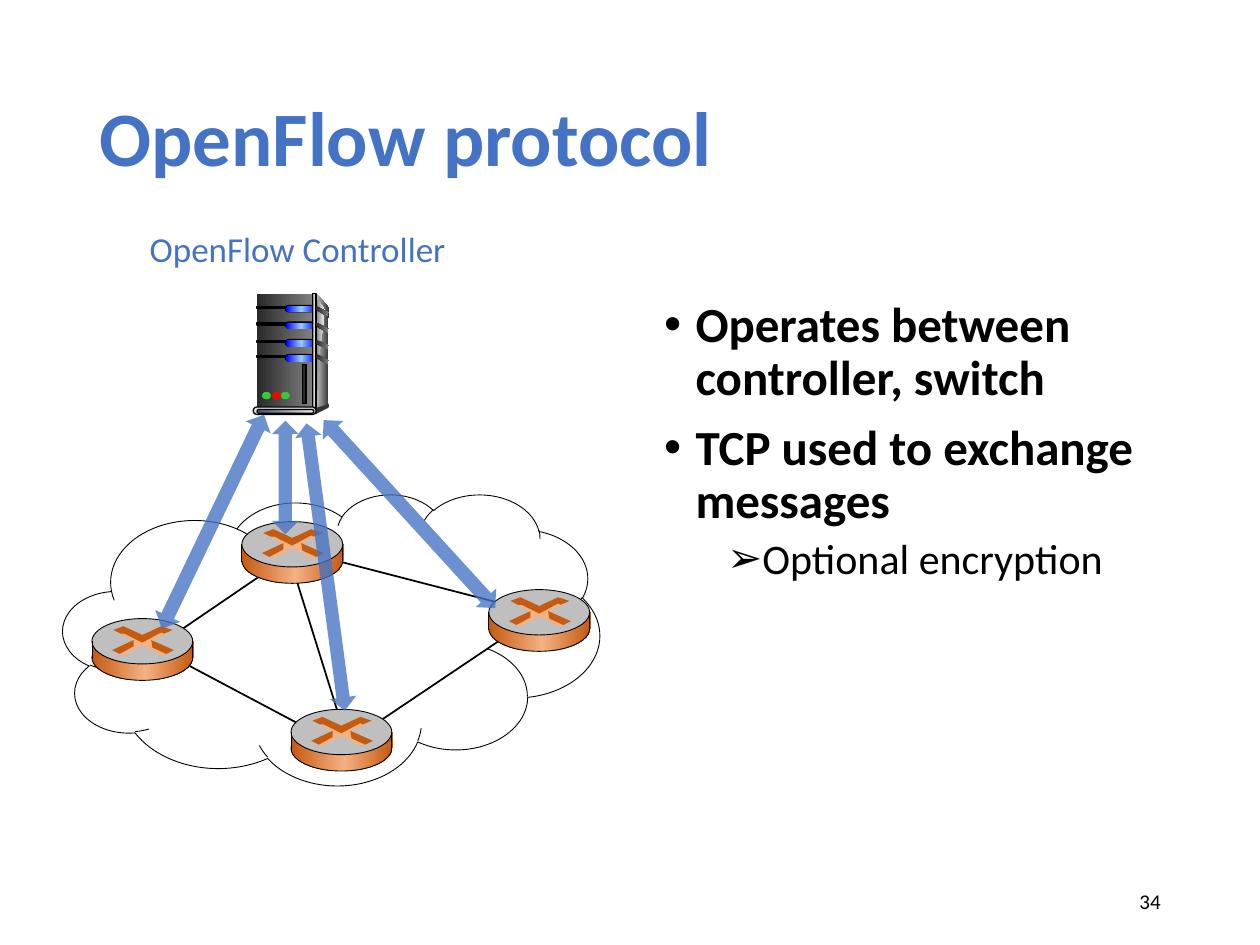
from lxml.etree import SubElement
from pptx import Presentation
from pptx.dml.color import RGBColor
from pptx.enum.shapes import MSO_CONNECTOR as CONNECTOR, MSO_SHAPE as SHAPE
from pptx.enum.text import MSO_ANCHOR as ANCHOR, MSO_AUTO_SIZE as AUTO_SIZE, PP_ALIGN as ALIGN
from pptx.oxml.ns import qn
from pptx.util import Inches, Pt

FONT = "Calibri"
BLACK = RGBColor(0, 0, 0)
BLUE = RGBColor(0x44, 0x72, 0xC4)
RUST = RGBColor(0xC5, 0x5A, 0x11)
PEACH = RGBColor(0xF4, 0xB1, 0x83)
SILVER = RGBColor(0xBF, 0xBF, 0xBF)
CHARCOAL = RGBColor(0x29, 0x29, 0x29)
DARK = RGBColor(0x33, 0x33, 0x33)
GREY = RGBColor(0x80, 0x80, 0x80)
LIGHT = RGBColor(0xDD, 0xDD, 0xDD)
PALE = RGBColor(0xF8, 0xF8, 0xF8)
SLATE = RGBColor(0x44, 0x54, 0x6A)
MIST = RGBColor(0xE7, 0xE6, 0xE6)
LED_BLUE = RGBColor(0, 0, 0xFF)
LED_GLOW = RGBColor(0x99, 0xCC, 0xFF)
LAMP_GREEN = RGBColor(0x33, 0xCC, 0x33)
LAMP_RED = RGBColor(0xFF, 0, 0)

RUST_SHEEN = ((0, RUST), (53, PEACH), (100, RUST))
LED_SHEEN = ((0, LED_BLUE), (50, LED_GLOW), (100, LED_BLUE))
PANEL_SHEEN = ((0, CHARCOAL), (100, GREY))

ROUTERS = ((2.31, 5.63), (3.88, 4.68), (0.73, 4.91), (1.92, 4.14))
ROUTER_MARKS = (
    (PEACH, ((.4, .21), (.25, .29), (.21, .27), (.33, .22), (.32, .17), (.23, .12), (.26, .11),
             (.4, .18), (.54, .11), (.58, .12), (.48, .17), (.5, .23), (.6, .27), (.56, .29))),
    (RUST, ((.17, .09), (.25, .06), (.4, .13), (.55, .06), (.64, .09), (.57, .12), (.55, .11),
            (.4, .19), (.26, .12), (.23, .12))),
    (RUST, ((.47, .17), (.65, .25), (.59, .28), (.48, .23))),
    (RUST, ((.33, .17), (.33, .22), (.22, .28), (.16, .25))),
)
LINKS = ((1.23, 5.14, 2.55, 4.24), (1.23, 5.14, 2.55, 5.84), (2.33, 4.53, 2.68, 5.65),
         (2.63, 4.44, 4.06, 4.81), (2.84, 5.84, 4.06, 5.02))
CONTROL_ARROWS = ((2.48, 3.35, .21, 2.3, 352.4), (2.16, 3.34, .21, .9, 0),
                  (3.14, 3.07, .22, 2.02, 317.6), (1.58, 3.2, .22, 1.88, 25.6))
BULLETS = (("Operates between controller, switch", 0),
           ("TCP used to exchange messages", 0),
           ("Optional encryption", 1))


def paint(shape, fill=None, line=None):
    """Apply a colour or gradient stops, an optional black line, and no shadow."""
    shape.shadow.inherit = False
    if fill is None:
        shape.fill.background()
    elif isinstance(fill, RGBColor):
        shape.fill.solid()
        shape.fill.fore_color.rgb = fill
    else:
        shape.fill.gradient()
        shape.fill.gradient_angle = 0
        stops = shape._element.spPr.find(qn("a:gradFill")).find(qn("a:gsLst"))
        stops.clear()
        for position, color in fill:
            stop = SubElement(stops, qn("a:gs"), pos=str(position * 1000))
            SubElement(stop, qn("a:srgbClr"), val=str(color))
    if line:
        shape.line.color.rgb = BLACK
        shape.line.width = Pt(line)
    else:
        shape.line.fill.background()


def add_part(shapes, kind, box, fill=None, line=None):
    """Add a painted preset shape; rounded bars get fully round ends."""
    part = shapes.add_shape(kind, *map(Inches, box))
    if kind == SHAPE.ROUNDED_RECTANGLE:
        part.adjustments[0] = 0.5
    paint(part, fill, line)
    return part


def add_outline(shapes, points, fill, left=0, top=0):
    """Add a filled polygon, with its points moved by left and top."""
    corners = [(Inches(left + x), Inches(top + y)) for x, y in points]
    builder = shapes.build_freeform(*corners[0])
    builder.add_line_segments(corners[1:], close=True)
    paint(builder.convert_to_shape(), fill)


def add_line(shapes, ends, width):
    """Add a straight black line."""
    line = shapes.add_connector(CONNECTOR.STRAIGHT, *map(Inches, ends))
    line.line.color.rgb = BLACK
    line.line.width = Pt(width)
    SubElement(line._element.spPr, qn("a:effectLst"))


def style(paragraph, size, color, bold=False):
    """Set the font of a whole paragraph."""
    font = paragraph.font
    font.name, font.size, font.bold = FONT, Pt(size), bold
    font.color.rgb = color


def place(shape, left, top, width, height):
    """Move and size a shape, in inches."""
    shape.left, shape.top = Inches(left), Inches(top)
    shape.width, shape.height = Inches(width), Inches(height)


def add_label(shapes, box, text, size, color, align=ALIGN.LEFT, anchor=ANCHOR.TOP, wrap=True):
    """Add a one-line text box."""
    frame = shapes.add_textbox(*map(Inches, box)).text_frame
    frame.word_wrap = wrap
    frame.vertical_anchor = anchor
    frame.text = text
    frame.paragraphs[0].alignment = align
    style(frame.paragraphs[0], size, color)


def fill_title(title):
    """Write the slide title."""
    place(title, 0.69, 0.4, 8.62, 1.45)
    frame = title.text_frame
    frame.text = "OpenFlow protocol"
    frame.auto_size = AUTO_SIZE.NONE
    frame.vertical_anchor = ANCHOR.MIDDLE
    heading = frame.paragraphs[0]
    heading.alignment = ALIGN.LEFT
    heading.line_spacing = 0.9
    style(heading, 44, BLUE, bold=True)


def fill_bullets(body):
    """Write the bulleted list."""
    place(body, 5.17, 2.33, 4.25, 4.09)
    frame = body.text_frame
    frame.text = "\n".join(text for text, _ in BULLETS)
    frame.auto_size = AUTO_SIZE.NONE
    for point, (_, level) in zip(frame.paragraphs, BULLETS):
        point.level = level
        point.line_spacing = 0.9
        point.space_before = Pt(5 if level else 10)
        props = point._p.get_or_add_pPr()
        props.set("marL", str(Inches(0.75 if level else 0.25)))
        props.set("indent", str(Inches(-0.25)))
        SubElement(props, qn("a:buFont"), typeface="Arial")
        SubElement(props, qn("a:buChar"), char="\u27a2" if level else "\u2022")
        style(point, 24 if level else 28, BLACK, bold=not level)


def add_server(slide):
    """Draw the controller as a tower server."""
    parts = slide.shapes.add_group_shape().shapes
    bar = SHAPE.ROUNDED_RECTANGLE
    add_outline(parts, ((2.51, 2.33), (2.61, 2.44), (2.6, 3.21), (2.49, 3.25)),
                ((0, LIGHT), (100, DARK)))
    add_part(parts, SHAPE.RECTANGLE, (2.04, 2.33, .44, .92), PANEL_SHEEN)
    add_outline(parts, ((2.51, 2.38), (2.54, 2.4), (2.58, 2.46), (2.53, 2.85), (2.51, 3.22)),
                ((0, GREY), (100, PALE)))
    for top in (2.43, 2.56, 2.7, 2.82):
        add_part(parts, SHAPE.RECTANGLE, (2.04, top, .25, .02), BLACK, 0.75)
        add_part(parts, bar, (2.26, top - .01, .25, .06), BLACK)
        add_part(parts, bar, (2.27, top, .24, .05), LED_SHEEN)
    add_part(parts, SHAPE.RECTANGLE, (2.48, 2.33, .03, .92),
             ((0, DARK), (50, LIGHT), (100, DARK)), 0.75)
    for top, drop in ((2.43, .05), (2.56, .05), (2.7, .04), (2.81, .05)):
        add_outline(parts, ((2.51, top), (2.61, top + drop), (2.6, top + drop + .03),
                            (2.51, top + .03)), PANEL_SHEEN)
    add_part(parts, SHAPE.OVAL, (2.59, 3.2, .02, .04), DARK)
    add_outline(parts, ((2.5, 3.24), (2.5, 3.29), (2.6, 3.24), (2.6, 3.21)), DARK)
    add_part(parts, bar, (2.01, 3.23, .5, .06), LIGHT, 0.75)
    add_part(parts, bar, (2.04, 3.25, .45, .03), ((0, SLATE), (100, MIST)), 0.75)
    for left, color in ((2.08, LAMP_GREEN), (2.16, LAMP_RED), (2.23, LAMP_GREEN)):
        add_part(parts, SHAPE.OVAL, (left, 3.11, .07, .06), color)
    add_part(parts, SHAPE.RECTANGLE, (2.4, 2.89, .03, .31), CHARCOAL, 0.75)


def add_router(slide, left, top):
    """Draw one switch: a short cylinder with crossed arrows on its lid."""
    parts = slide.shapes.add_group_shape().shapes
    add_part(parts, SHAPE.OVAL, (left, top + .13, .8, .36), RUST_SHEEN, 0.5)
    add_part(parts, SHAPE.RECTANGLE, (left, top + .18, .81, .13), RUST_SHEEN)
    add_part(parts, SHAPE.OVAL, (left, top, .8, .36), SILVER, 0.5)
    for color, points in ROUTER_MARKS:
        add_outline(parts, points, color, left, top)
    for side in (left, left + .8):
        add_line(parts, (side, top + .32, side, top + .18), 0.5)


def add_control_arrow(slide, left, top, width, height, angle):
    """Add a translucent double arrow between controller and switch."""
    arrow = add_part(slide.shapes, SHAPE.UP_DOWN_ARROW, (left, top, width, height), BLUE)
    arrow.rotation = angle
    color = arrow._element.spPr.find(qn("a:solidFill"))[0]
    SubElement(color, qn("a:alpha"), val="78000")


def main():
    """Build and save the slide."""
    deck = Presentation()
    deck.slide_width, deck.slide_height = Inches(10), Inches(7.5)
    slide = deck.slides.add_slide(deck.slide_layouts[1])
    fill_title(slide.shapes.title)
    fill_bullets(slide.placeholders[1])
    add_part(slide.shapes, SHAPE.CLOUD, (0.5, 3.92, 4.26, 2.31), line=0.5)
    for ends in LINKS:
        add_line(slide.shapes, ends, 1)
    add_server(slide)
    add_label(slide.shapes, (1.09, 1.76, 2.57, .44), "OpenFlow Controller", 20, BLUE, wrap=False)
    for corner in ROUTERS:
        add_router(slide, *corner)
    for arrow in CONTROL_ARROWS:
        add_control_arrow(slide, *arrow)
    add_label(slide.shapes, (7.06, 6.95, 2.25, .4), "34", 12, BLACK, ALIGN.RIGHT, ANCHOR.MIDDLE)
    deck.save("out.pptx")


main()
